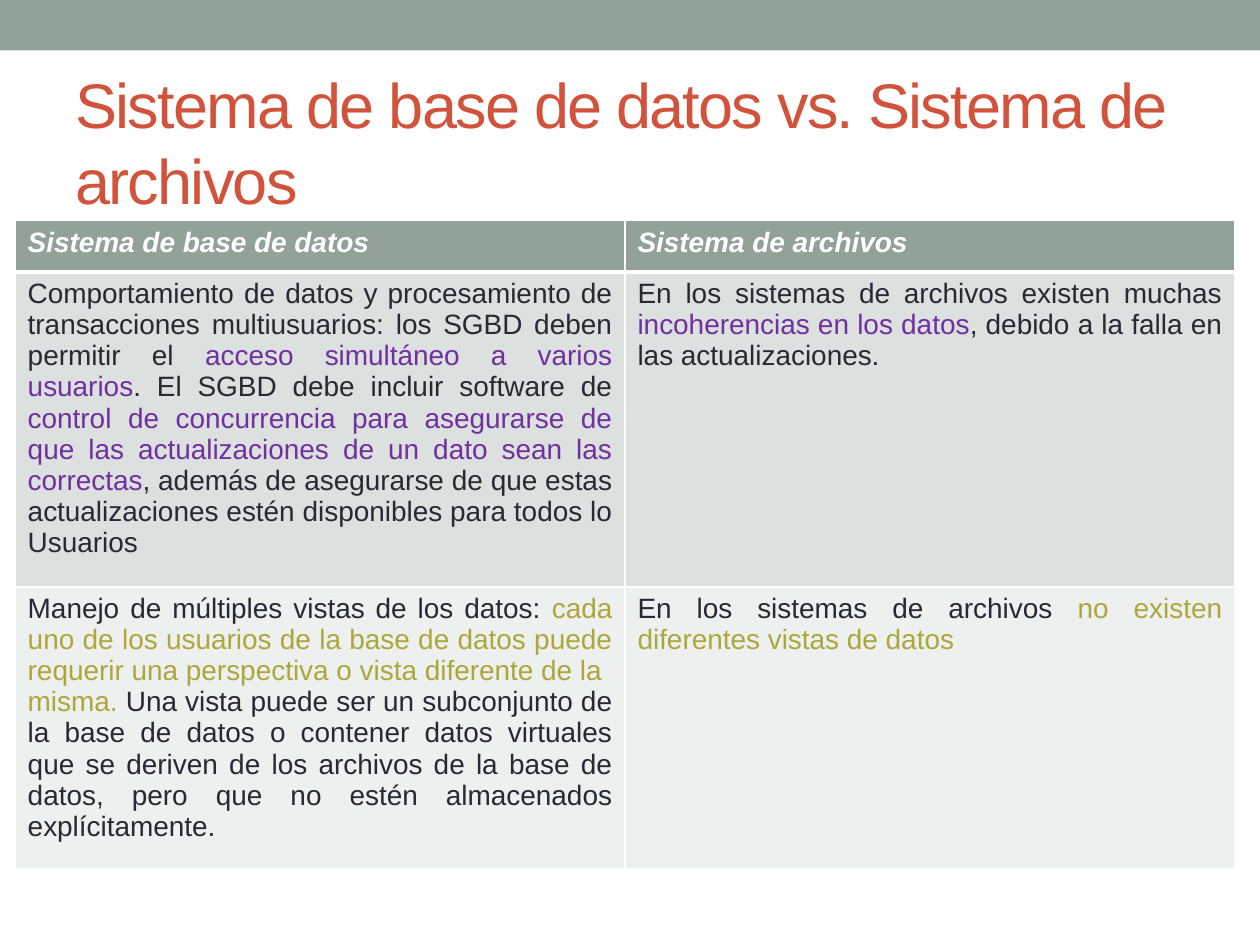
from dataclasses import dataclass

from lxml import etree
from pptx import Presentation
from pptx.dml.color import RGBColor
from pptx.enum.shapes import MSO_SHAPE
from pptx.enum.text import MSO_ANCHOR, PP_ALIGN
from pptx.oxml.ns import qn
from pptx.util import Inches, Pt


@dataclass(frozen=True)
class Theme:
    font: str = "Arial"
    title_size: int = 36
    table_size: int = 16
    title: str = "D2533C"
    band: str = "93A299"
    text: str = "292934"
    white: str = "FFFFFF"
    purple: str = "7030A0"
    olive: str = "ACA73B"
    row_fills: tuple = ("93A299", "DCE0DE", "EEF0EF")


class SlideBuilder:
    def __init__(self, slide, theme):
        self.s = slide
        self.theme = theme

    def style(self, font, size, color):
        font.name = self.theme.font
        font.size = Pt(size)
        font.color.rgb = RGBColor.from_string(color)

    def band(self, x, y, w, h):
        sp = self.s.shapes.add_shape(
            MSO_SHAPE.RECTANGLE, Inches(x), Inches(y), Inches(w), Inches(h))
        sp.shadow.inherit = False
        sp.fill.solid()
        sp.fill.fore_color.rgb = RGBColor.from_string(self.theme.band)
        sp.line.fill.background()

    def title(self, text, x, y, w, h):
        sp = self.s.shapes.add_textbox(Inches(x), Inches(y), Inches(w), Inches(h))
        tf = sp.text_frame
        tf.word_wrap = True
        tf.vertical_anchor = MSO_ANCHOR.MIDDLE
        p = tf.paragraphs[0]
        self.style(p.font, self.theme.title_size, self.theme.title)
        r = p.add_run()
        r.text = text
        self.style(r.font, self.theme.title_size, self.theme.title)
        r.font._element.set("spc", "-100")

    def borders(self, cell, bottom):
        tc_pr = cell._tc.get_or_add_tcPr()
        widths = {"a:lnL": 1, "a:lnR": 1, "a:lnT": 1, "a:lnB": bottom}
        for i, (tag, width) in enumerate(widths.items()):
            ln = etree.Element(qn(tag), w=str(Pt(width)))
            fill = etree.SubElement(ln, qn("a:solidFill"))
            etree.SubElement(fill, qn("a:srgbClr"), val=self.theme.white)
            tc_pr.insert(i, ln)

    def cell(self, cell, paragraphs, fill, header):
        cell.fill.solid()
        cell.fill.fore_color.rgb = RGBColor.from_string(fill)
        self.borders(cell, 3 if header else 1)
        tf = cell.text_frame
        for i, runs in enumerate(paragraphs):
            p = tf.paragraphs[0] if i == 0 else tf.add_paragraph()
            p.alignment = PP_ALIGN.JUSTIFY
            p.font.bold = p.font.italic = header
            for text, color in runs:
                r = p.add_run()
                r.text = text
                self.style(r.font, self.theme.table_size, color)
                r.font.bold = r.font.italic = header

    def table(self, rows, x, y, col_width, heights):
        cols = len(rows[0])
        table = self.s.shapes.add_table(
            len(rows), cols, Inches(x), Inches(y),
            Inches(col_width * cols), Inches(sum(heights))).table
        for col in table.columns:
            col.width = Inches(col_width)
        for i, (row, height) in enumerate(zip(rows, heights)):
            table.rows[i].height = Inches(height)
            for j, paragraphs in enumerate(row):
                self.cell(table.cell(i, j), paragraphs,
                          self.theme.row_fills[i], header=i == 0)


def comparison_rows(t):
    # Each cell is a list of paragraphs; each paragraph is a list of (text, color)
    return [
        [[[("Sistema de base de datos", t.white)]],
         [[("Sistema de archivos", t.white)]]],
        [[[("Comportamiento de datos y procesamiento de transacciones "
            "multiusuarios: los SGBD deben permitir el ", t.text),
           ("acceso simultáneo a varios usuarios", t.purple),
           (". El SGBD debe incluir software de ", t.text),
           ("control de concurrencia para asegurarse de que las "
            "actualizaciones de un dato sean las correctas", t.purple),
           (", además de asegurarse de que estas actualizaciones estén "
            "disponibles para todos lo Usuarios", t.text)]],
         [[("En los sistemas de archivos existen muchas ", t.text),
           ("incoherencias en los datos", t.purple),
           (", debido a la falla en las actualizaciones.", t.text)]]],
        [[[("Manejo de múltiples vistas de los datos: ", t.text),
           ("cada uno de los usuarios de la base de datos puede ", t.olive)],
          [("requerir una perspectiva o vista diferente de la ", t.olive)],
          [("misma.", t.olive),
           (" Una vista puede ser un subconjunto de ", t.text)],
          [("la base de datos o contener datos virtuales que se deriven de "
            "los archivos de la base de datos, pero que no estén almacenados "
            "explícitamente.", t.text)]],
         [[("En los sistemas de archivos ", t.text),
           ("no existen diferentes vistas de datos", t.olive)]]],
    ]


def main():
    prs = Presentation()
    prs.slide_width, prs.slide_height = Inches(10), Inches(7.5)
    theme = Theme()
    slide = SlideBuilder(prs.slides.add_slide(prs.slide_layouts[6]), theme)

    # Top band and title
    slide.band(0, 0, 10, 0.4)
    slide.title("Sistema de base de datos vs. Sistema de archivos",
                0.5, 0.58, 9, 1.08)

    # Comparison table
    slide.table(comparison_rows(theme), 0.12, 1.75, 4.84, [0.41, 2.31, 2.07])

    prs.save("out.pptx")


if __name__ == "__main__":
    main()
